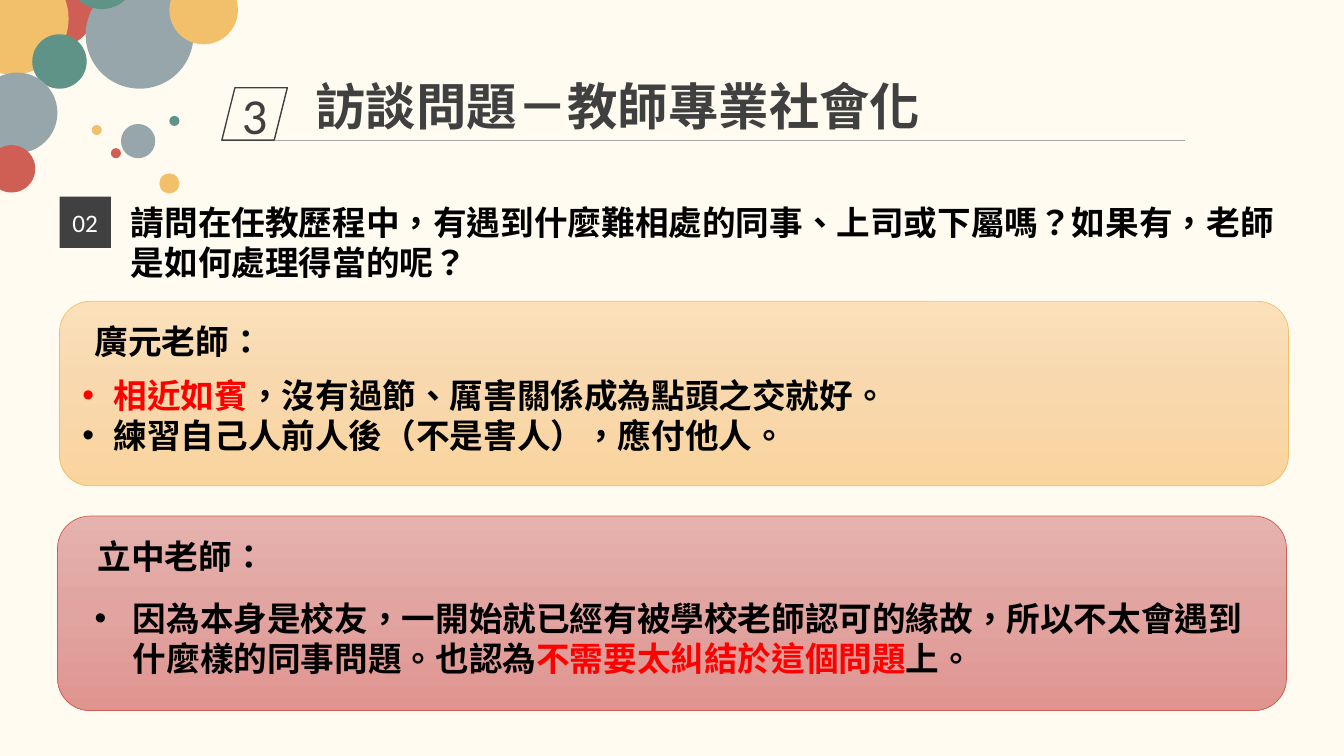
"""Build the interview question slide on teacher socialisation."""
import copy

import lxml.etree
import pptx
import pptx.dml.color
import pptx.enum.lang
import pptx.enum.shapes
import pptx.enum.text
import pptx.oxml.ns
import pptx.util

Inches = pptx.util.Inches
Pt = pptx.util.Pt
RGBColor = pptx.dml.color.RGBColor
MSO_SHAPE = pptx.enum.shapes.MSO_SHAPE
qn = pptx.oxml.ns.qn

CREAM = RGBColor(0xFF, 0xFB, 0xF0)
RED = RGBColor(0xCF, 0x5F, 0x55)
YELLOW = RGBColor(0xF2, 0xC0, 0x6B)
GREEN = RGBColor(0x5F, 0x93, 0x87)
GRAY = RGBColor(0x97, 0xA6, 0xAB)
DARK = RGBColor(0x40, 0x40, 0x40)
RULE = RGBColor(0xA6, 0xA6, 0xA6)
BLACK = RGBColor(0, 0, 0)
WHITE = RGBColor(0xFF, 0xFF, 0xFF)
ACCENT = RGBColor(0xFF, 0, 0)
PINK_STOPS = [RGBColor(0xE6, 0xB2, 0xAE), RGBColor(0xE1, 0xA4, 0xA0), RGBColor(0xE0, 0x94, 0x8F)]
SAND_STOPS = [RGBColor(0xFA, 0xE0, 0xBB), RGBColor(0xF8, 0xD8, 0xAC), RGBColor(0xFA, 0xD4, 0x9D)]
LATIN = "Calibri"
CJK = "Noto Sans CJK SC"

prs = pptx.Presentation()
prs.slide_width, prs.slide_height = Inches(13.33), Inches(7.5)
s = prs.slides.add_slide(prs.slide_layouts[6])
s.background.fill.solid()
s.background.fill.fore_color.rgb = CREAM


def add_shape(kind, x, y, w, h, fill=None, line=None, width=1):
    """Add a flat preset shape."""
    sp = s.shapes.add_shape(kind, Inches(x), Inches(y), Inches(w), Inches(h))
    sp.shadow.inherit = False
    if fill is None:
        sp.fill.background()
    else:
        sp.fill.solid()
        sp.fill.fore_color.rgb = fill
    if line is None:
        sp.line.fill.background()
    else:
        sp.line.color.rgb = line
        sp.line.width = Pt(width)
    return sp


def add_text(x, y, w, h, paragraphs, size=24, font=LATIN, color=BLACK, indent=0, wrap=True):
    """Add a bold text box; each paragraph is a list of (text, color) runs."""
    tf = s.shapes.add_textbox(Inches(x), Inches(y), Inches(w), Inches(h)).text_frame
    tf.word_wrap = wrap
    tf.auto_size = pptx.enum.text.MSO_AUTO_SIZE.SHAPE_TO_FIT_TEXT
    for i, runs in enumerate(paragraphs):
        p = tf.add_paragraph() if i else tf.paragraphs[0]
        p.font.size, p.font.bold, p.font.name = Pt(size), True, font
        for text, run_color in runs:
            r = p.add_run()
            r.text = text
            r.font.color.rgb = run_color or color
            r.font.language_id = pptx.enum.lang.MSO_LANGUAGE_ID.TRADITIONAL_CHINESE
            lxml.etree.SubElement(r.font._element, qn("a:ea"), typeface=CJK)
        if indent:
            pPr = p._p.get_or_add_pPr()
            pPr.set("marL", str(Inches(indent)))
            pPr.set("indent", str(-Inches(indent)))
            bullet = lxml.etree.Element(qn("a:buChar"), char="•")
            bullet_font = lxml.etree.Element(qn("a:buFont"), typeface="Arial")
            pPr.insert(0, bullet)
            pPr.insert(0, bullet_font)


circles = [
    (0.04, -0.44, 0.93, RED), (-0.43, -0.37, 1.11, YELLOW), (0.32, 0.34, 0.54, GREEN),
    (-0.23, 0.72, 0.8, GRAY), (0.85, -0.19, 1.07, GRAY), (0.67, -0.59, 0.68, GREEN),
    (-0.12, 1.44, 0.47, RED), (1.2, 1.23, 0.34, GRAY), (1.1, 1.47, 0.1, RED),
    (0.91, 1.24, 0.1, YELLOW), (1.68, 1.15, 0.1, GREEN), (1.58, 1.72, 0.2, YELLOW),
    (1.68, -0.24, 0.68, YELLOW),
]
for x, y, d, color in circles:
    add_shape(MSO_SHAPE.OVAL, x, y, d, d, color)

add_text(3.03, 0.7, 6.39, 0.71, [[("訪談問題－教師專業社會化", None)]], 36, CJK, DARK)

rule = s.shapes.add_connector(pptx.enum.shapes.MSO_CONNECTOR.STRAIGHT,
                              Inches(2.73), Inches(1.39), Inches(11.75), Inches(1.39))
rule.line.color.rgb = RULE
rule.line.width = Pt(0.5)
lxml.etree.SubElement(rule._element.spPr, qn("a:effectLst"))

section = add_shape(MSO_SHAPE.PARALLELOGRAM, 2.2, 0.87, 0.65, 0.52, line=DARK)
number = add_shape(MSO_SHAPE.RECTANGLE, 0.59, 1.95, 0.51, 0.51, DARK)
for sp, text, size, color in [(section, "3", 36, DARK), (number, "02", 18, WHITE)]:
    tf = sp.text_frame
    tf.word_wrap = False
    tf.margin_left = tf.margin_right = tf.margin_top = tf.margin_bottom = 0
    tf.vertical_anchor = pptx.enum.text.MSO_ANCHOR.MIDDLE
    p = tf.paragraphs[0]
    p.text = text
    p.alignment = pptx.enum.text.PP_ALIGN.CENTER
    p.font.name, p.font.size, p.font.color.rgb = LATIN, Pt(size), color

question = "請問在任教歷程中，有遇到什麼難相處的同事、上司或下屬嗎？如果有，老師是如何處理得當的呢？"
add_text(1.2, 1.95, 11.74, 0.91, [[(question, None)]])

panels = [(0.57, 5.12, 1.93, PINK_STOPS, RED), (0.59, 2.99, 1.83, SAND_STOPS, YELLOW)]
for x, y, h, colors, line in panels:
    sp = add_shape(MSO_SHAPE.ROUNDED_RECTANGLE, x, y, 12.19, h, line=line, width=0.5)
    sp.fill.gradient()
    sp.fill.gradient_angle = 270
    first = sp.fill.gradient_stops[0]._gs
    first.addnext(copy.deepcopy(first))
    for i, (stop, color) in enumerate(zip(sp.fill.gradient_stops, colors)):
        stop.position = i / 2
        stop.color.rgb = color

add_text(0.87, 5.27, 1.88, 0.5, [[("立中老師：", None)]], font=CJK, wrap=False)
add_text(0.84, 5.88, 11.79, 0.91, [[
    ("因為本身是校友，一開始就已經有被學校老師認可的緣故，所以不太會遇到什麼樣的同事問題。也認為", None),
    ("不需要太糾結於這個問題", ACCENT),
    ("上。", None),
]], indent=0.38)

add_text(0.84, 3.13, 1.88, 0.5, [[("廣元老師：", None)]], font=CJK, wrap=False)
add_text(0.72, 3.67, 12.04, 0.91, [
    [("相近如賓", ACCENT), ("，沒有過節、厲害關係成為點頭之交就好。", None)],
    [("練習自己人前人後（不是害人），應付他人。", None)],
], indent=0.31)

prs.save("out.pptx")
